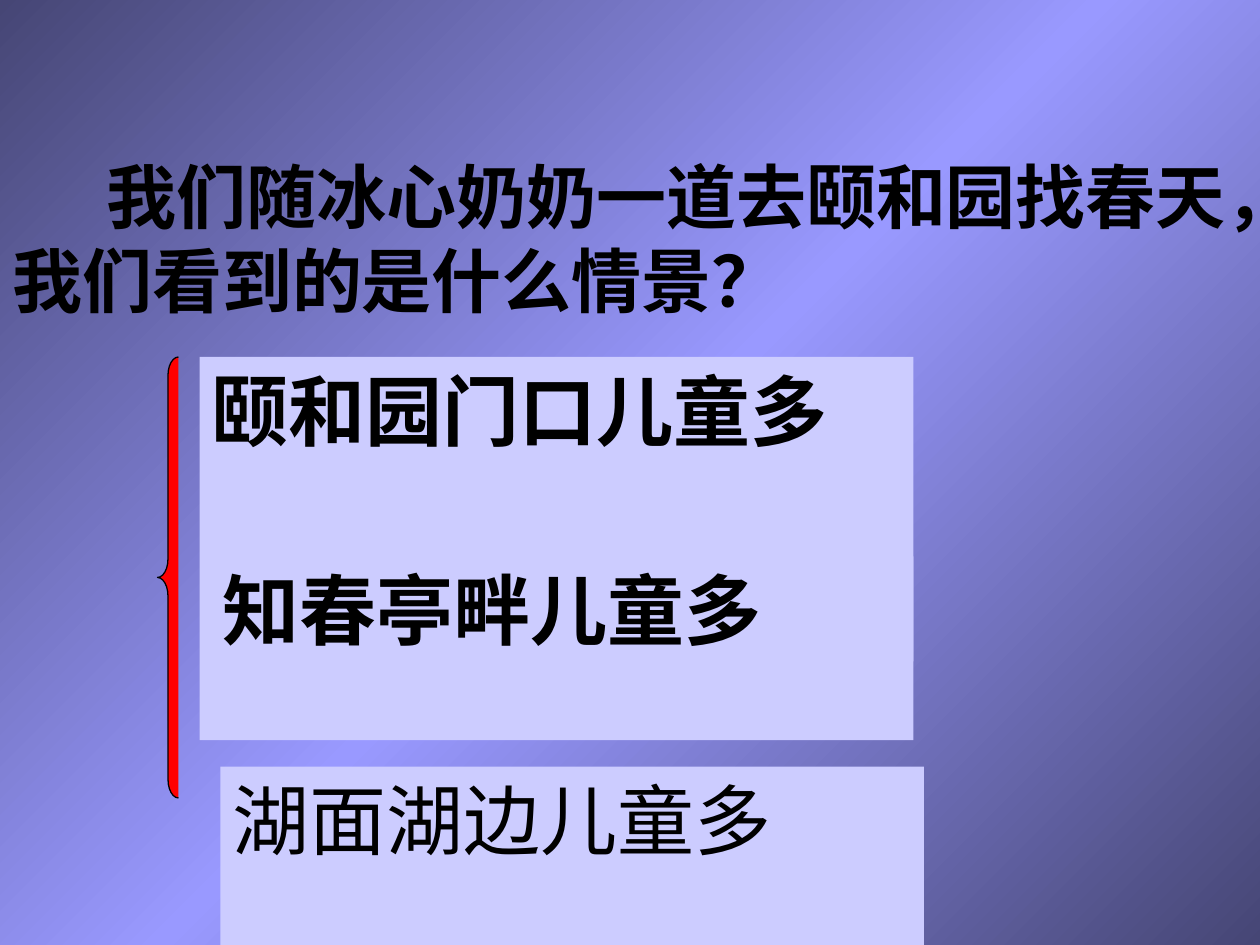
from copy import deepcopy
from pptx import Presentation
from pptx import util as u
from pptx.dml.color import RGBColor
from pptx.enum import shapes, text

COLORS = {"edge": "464675", "glow": "9999FF", "panel": "CCCCFF",
          "brace": "FF0000", "ink": "000000"}
COLS, ROWS = 120, 90


def color(name):
    return RGBColor.from_string(COLORS[name])


class Lesson:
    frame_format = {"word_wrap": True, "vertical_anchor": text.MSO_ANCHOR.TOP,
                    "margin_left": u.Inches(0.1), "margin_right": u.Inches(0.1),
                    "margin_top": u.Inches(0.05), "margin_bottom": u.Inches(0.05)}

    def __init__(self, deck):
        self.cell_w = deck.slide_width / COLS
        self.cell_h = deck.slide_height / ROWS
        self.slide = deck.slides.add_slide(deck.slide_layouts[6])

    def place(self, col, row, cols, rows):
        return [int(n * cell) for n, cell in
                zip((col, row, cols, rows), (self.cell_w, self.cell_h) * 2)]

    def background(self, names):
        fill = self.slide.background.fill
        fill.gradient()
        fill.gradient_angle = 315
        first = fill._fill._gradFill.gsLst[0]
        first.addnext(deepcopy(first))
        for i, (stop, name) in enumerate(zip(fill.gradient_stops, names)):
            stop.position = i / (len(names) - 1)
            stop.color.rgb = color(name)

    def fill_text(self, frame, words, size, bold=True, indent=0):
        for key, value in self.frame_format.items():
            setattr(frame, key, value)
        paragraph = frame.paragraphs[0]
        paragraph.alignment = text.PP_ALIGN.LEFT
        if indent:
            properties = paragraph._p.get_or_add_pPr()
            properties.set("marL", "0")
            properties.set("indent", str(u.Inches(indent)))
        run = paragraph.add_run()
        run.text = words
        for key, value in {"name": "Times New Roman", "size": u.Pt(size), "bold": bold}.items():
            setattr(run.font, key, value)
        run.font.color.rgb = color("ink")

    def question(self, words, *cells):
        box = self.slide.shapes.add_textbox(*self.place(*cells))
        self.fill_text(box.text_frame, words, 40, indent=0.75)

    def shape(self, kind, fill, *cells):
        item = self.slide.shapes.add_shape(kind, *self.place(*cells))
        item.shadow.inherit = False
        item.fill.solid()
        item.fill.fore_color.rgb = color(fill)
        return item

    def brace(self, *cells):
        item = self.shape(shapes.MSO_SHAPE.LEFT_BRACE, "brace", *cells)
        item.adjustments[0] = 0.88
        item.line.color.rgb = color("ink")
        item.line.width = u.Pt(0.75)

    def answer(self, words, bold, *cells):
        item = self.shape(shapes.MSO_SHAPE.RECTANGLE, "panel", *cells)
        item.line.fill.background()
        self.fill_text(item.text_frame, words, 44, bold)


def main():
    deck = Presentation()
    deck.slide_width, deck.slide_height = u.Inches(10), u.Inches(7.5)
    lesson = Lesson(deck)
    lesson.background(["edge", "glow", "edge"])
    lesson.question("我们随冰心奶奶一道去颐和园找春天，我们看到的是什么情景？", 0, 14, 120, 17.3)
    lesson.brace(15, 34, 2, 42)
    for answer in (("颐和园门口儿童多", True, 19, 34, 68, 36.5),
                   ("知春亭畔儿童多", True, 20, 53, 67, 10),
                   ("湖面湖边儿童多", False, 21, 73, 67, 18.8)):
        lesson.answer(*answer)
    deck.save("out.pptx")


if __name__ == "__main__":
    main()
